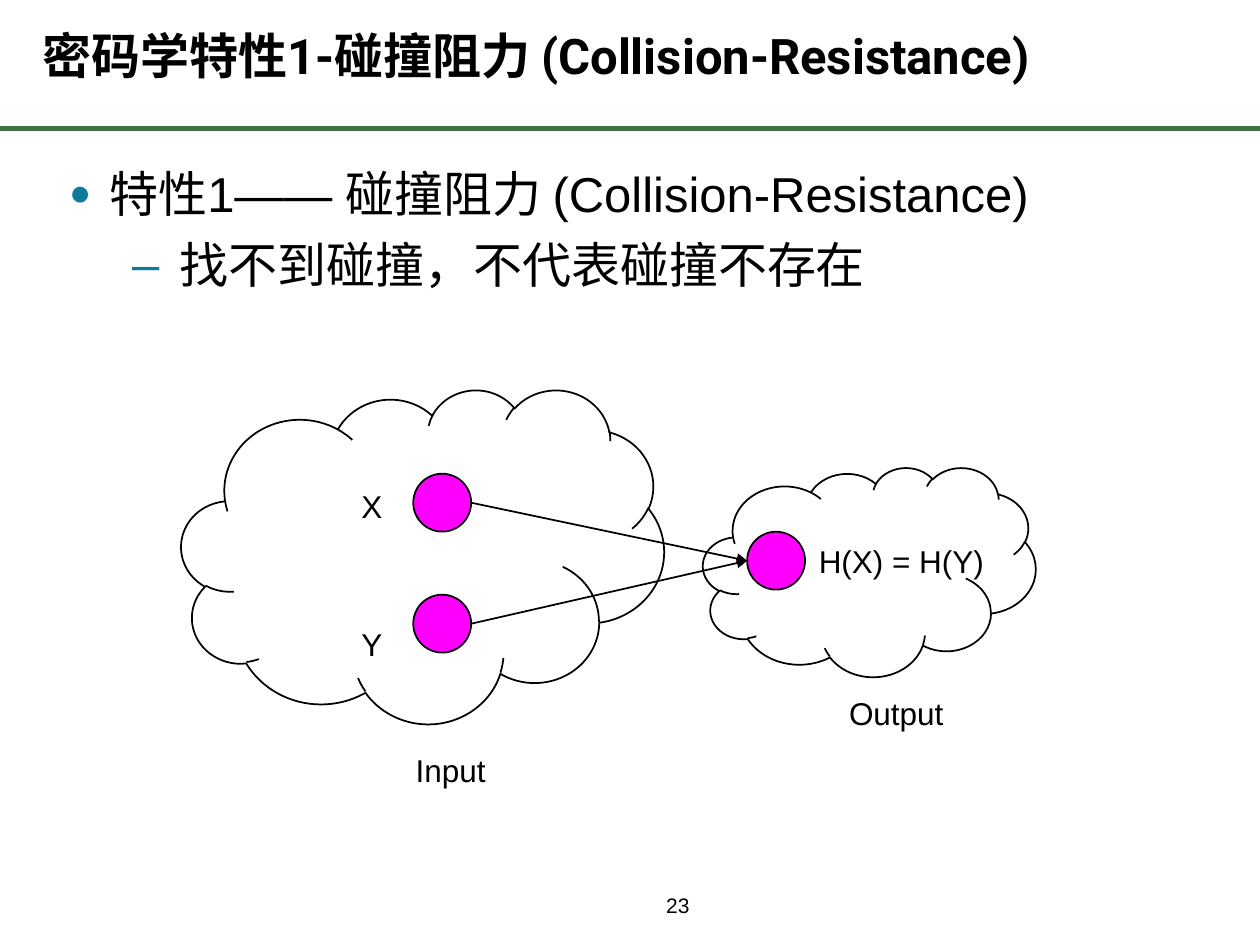
from lxml.etree import SubElement
from pptx import Presentation
from pptx.dml.color import RGBColor
from pptx.enum.shapes import MSO_CONNECTOR, MSO_SHAPE
from pptx.enum.text import MSO_ANCHOR, PP_ALIGN
from pptx.oxml.ns import qn
from pptx.util import Inches, Pt

BLACK = RGBColor(0x00, 0x00, 0x00)
MAGENTA = RGBColor(0xFF, 0x00, 0xFF)
RULE_GREEN = RGBColor(0x3F, 0x71, 0x41)
BULLET_TEAL = RGBColor(0x0C, 0x7B, 0x9C)
DOT_SIZE = 0.46


def add_text_box(slide, left, top, width, height, wrap=True, anchor=MSO_ANCHOR.TOP):
    box = slide.shapes.add_textbox(Inches(left), Inches(top), Inches(width), Inches(height))
    frame = box.text_frame
    frame.word_wrap = wrap
    frame.vertical_anchor = anchor
    return frame


def add_run(paragraph, text, size, font="Arial", bold=False):
    run = paragraph.add_run()
    run.text = text
    run.font.size = Pt(size)
    run.font.name = font
    run.font.bold = bold
    run.font.color.rgb = BLACK


def add_label(slide, text, left, top, width):
    frame = add_text_box(slide, left, top, width, 0.4, wrap=False)
    add_run(frame.paragraphs[0], text, 18)


def set_bullet(paragraph, character, margin, hanging, percent=100):
    properties = paragraph._p.get_or_add_pPr()
    properties.set("marL", str(Inches(margin)))
    properties.set("indent", str(-Inches(hanging)))
    color = SubElement(properties, qn("a:buClr"))
    SubElement(color, qn("a:srgbClr"), val=str(BULLET_TEAL))
    SubElement(properties, qn("a:buSzPct"), val=str(percent * 1000))
    SubElement(properties, qn("a:buFont"), typeface="Arial")
    SubElement(properties, qn("a:buChar"), char=character)


def add_outlined_shape(slide, kind, left, top, width, height, fill=None):
    shape = slide.shapes.add_shape(kind, Inches(left), Inches(top), Inches(width), Inches(height))
    shape.shadow.inherit = False
    if fill is None:
        shape.fill.background()
    else:
        shape.fill.solid()
        shape.fill.fore_color.rgb = fill
    shape.line.color.rgb = BLACK
    shape.line.width = Pt(1)


def add_line(slide, start, end, color, width, arrow=False):
    line = slide.shapes.add_connector(
        MSO_CONNECTOR.STRAIGHT, *(Inches(value) for value in (*start, *end)))
    line.line.color.rgb = color
    line.line.width = Pt(width)
    if arrow:
        SubElement(line.line._get_or_add_ln(), qn("a:tailEnd"), type="triangle")
    SubElement(line._element.spPr, qn("a:effectLst"))


def add_title(slide):
    frame = add_text_box(slide, 0.24, 0.14, 9.06, 0.58, anchor=MSO_ANCHOR.BOTTOM)
    paragraph = frame.paragraphs[0]
    paragraph.line_spacing = Pt(36)
    add_run(paragraph, "密码学特性1-碰撞阻力 (Collision-Resistance)", 28, "Roboto", True)


def add_body(slide):
    frame = add_text_box(slide, 0.45, 1.25, 9.1, 5.67)
    first = frame.paragraphs[0]
    set_bullet(first, "●", 0.32, 0.32, 75)
    add_run(first, "特性1—— 碰撞阻力 (Collision-Resistance)", 28)
    second = frame.add_paragraph()
    set_bullet(second, "–", 0.88, 0.38)
    second.level = 1
    second.space_before = Pt(3)
    add_run(second, "找不到碰撞，不代表碰撞不存在", 28)
    for paragraph in frame.paragraphs:
        paragraph.space_after = Pt(4)


def add_page_number(slide):
    frame = add_text_box(slide, 5.08, 7, 0.6, 0.28, anchor=MSO_ANCHOR.BOTTOM)
    frame.margin_left = frame.margin_right = frame.margin_top = frame.margin_bottom = 0
    paragraph = frame.paragraphs[0]
    paragraph.alignment = PP_ALIGN.CENTER
    paragraph.line_spacing = Pt(20)
    add_run(paragraph, "23", 12)


def add_collision_diagram(slide):
    input_left, input_tops = 3.28, (3.76, 4.72)
    hash_left, hash_top = 5.93, 4.22
    radius = DOT_SIZE / 2
    dots = [(input_left, top) for top in input_tops] + [(hash_left, hash_top)]
    for left, top in dots:
        add_outlined_shape(slide, MSO_SHAPE.OVAL, left, top, DOT_SIZE, DOT_SIZE, MAGENTA)
    for label in (("H(X) = H(Y)", 6.4, 4.25, 1.53), ("X", 2.77, 3.82, 0.37),
                  ("Y", 2.77, 4.91, 0.37), ("Output", 6.64, 5.46, 0.96),
                  ("Input", 3.2, 5.91, 0.76)):
        add_label(slide, *label)
    for top in input_tops:
        add_line(slide, (input_left + DOT_SIZE, top + radius),
                 (hash_left, hash_top + radius), BLACK, 1, arrow=True)
    for cloud in ((1.44, 3.09, 3.83, 2.65), (5.58, 3.71, 2.64, 1.66)):
        add_outlined_shape(slide, MSO_SHAPE.CLOUD, *cloud)


def main():
    presentation = Presentation()
    presentation.slide_width = Inches(10)
    presentation.slide_height = Inches(7.5)
    slide = presentation.slides.add_slide(presentation.slide_layouts[6])
    add_line(slide, (0, 1.02), (10, 1.02), RULE_GREEN, 3)
    add_page_number(slide)
    add_body(slide)
    add_collision_diagram(slide)
    add_title(slide)
    presentation.save("out.pptx")


if __name__ == "__main__":
    main()
